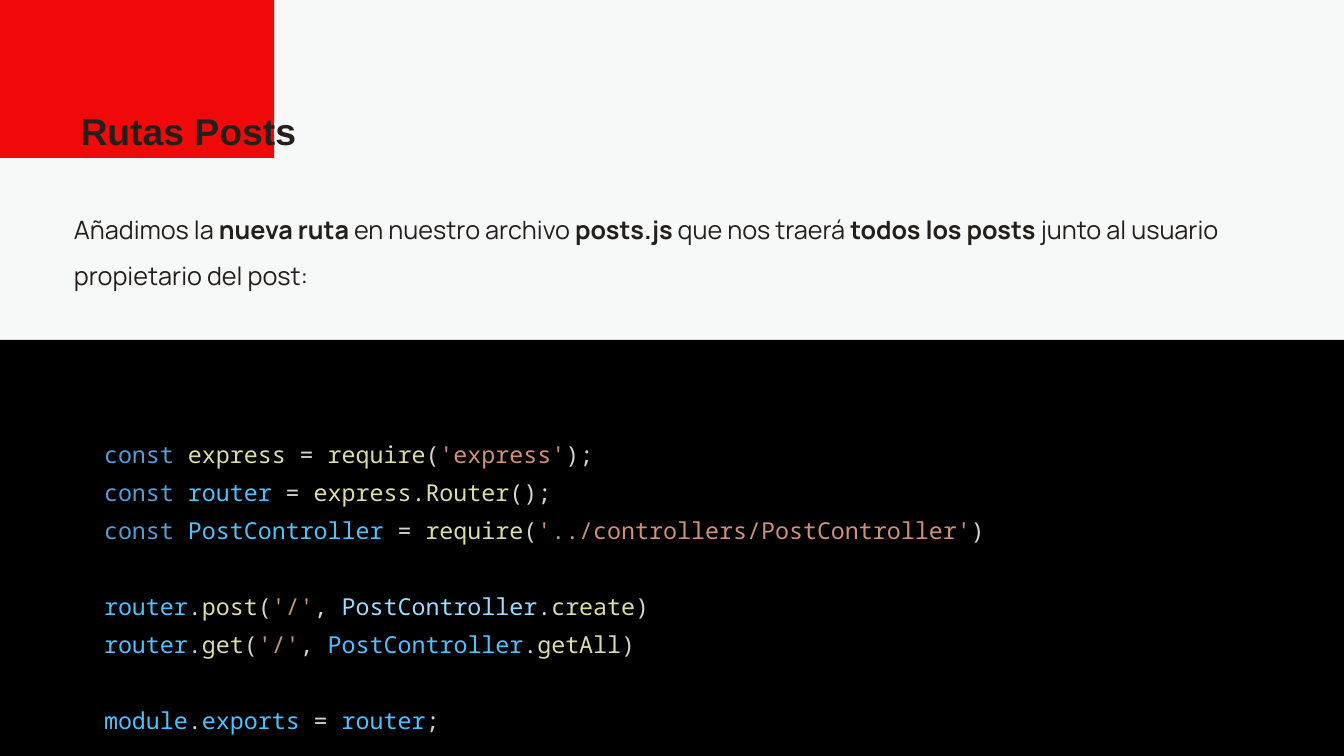
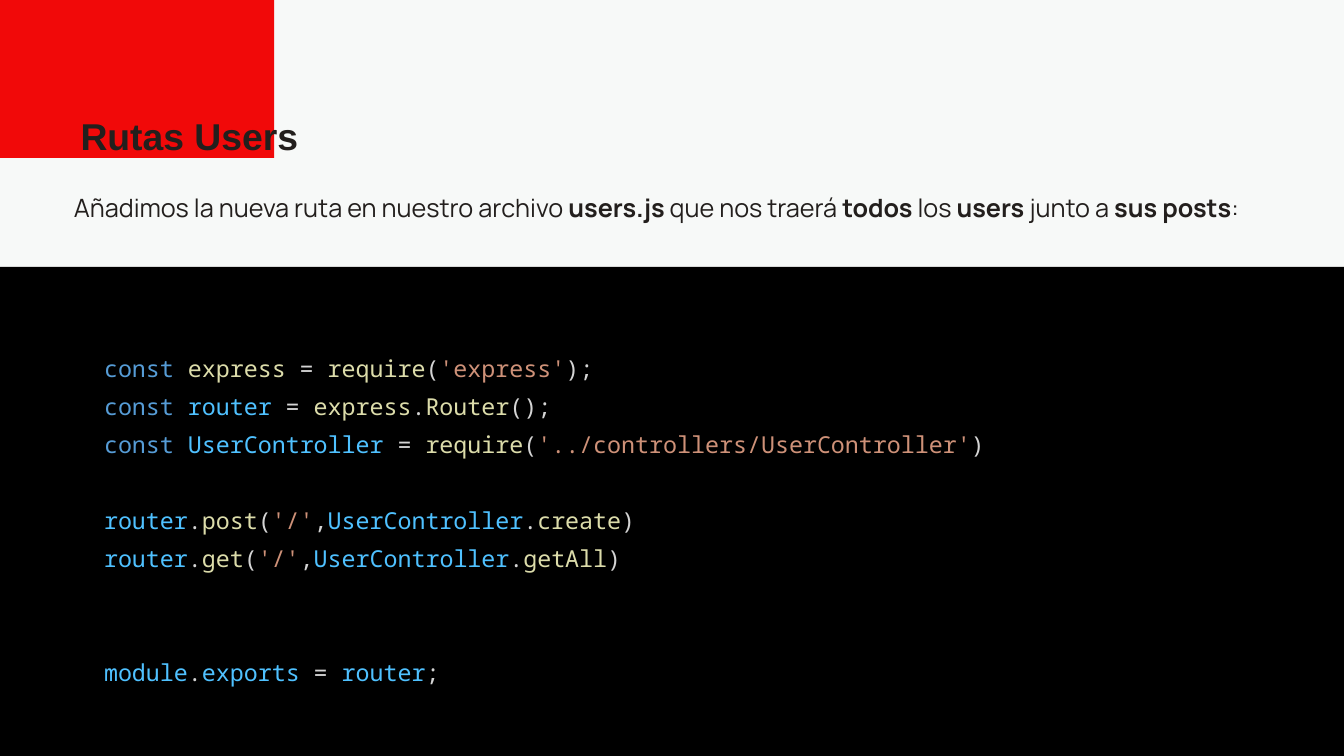
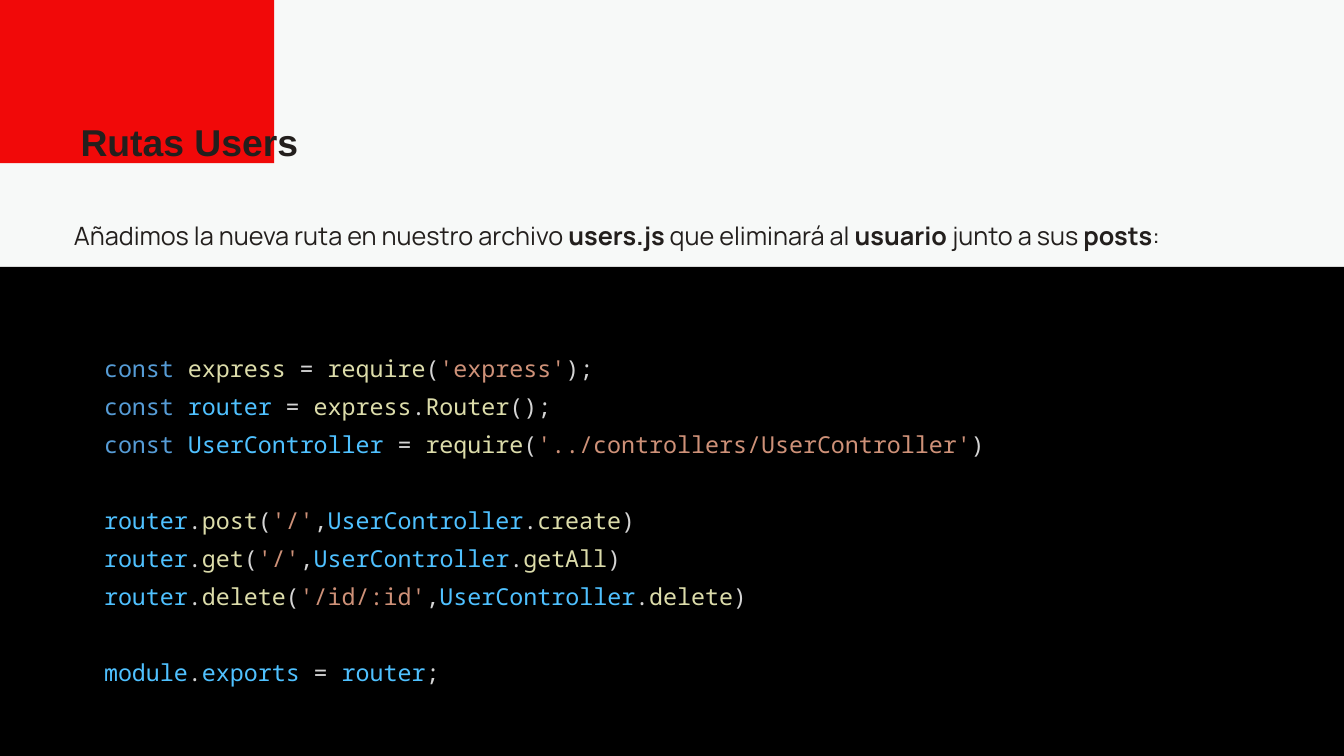
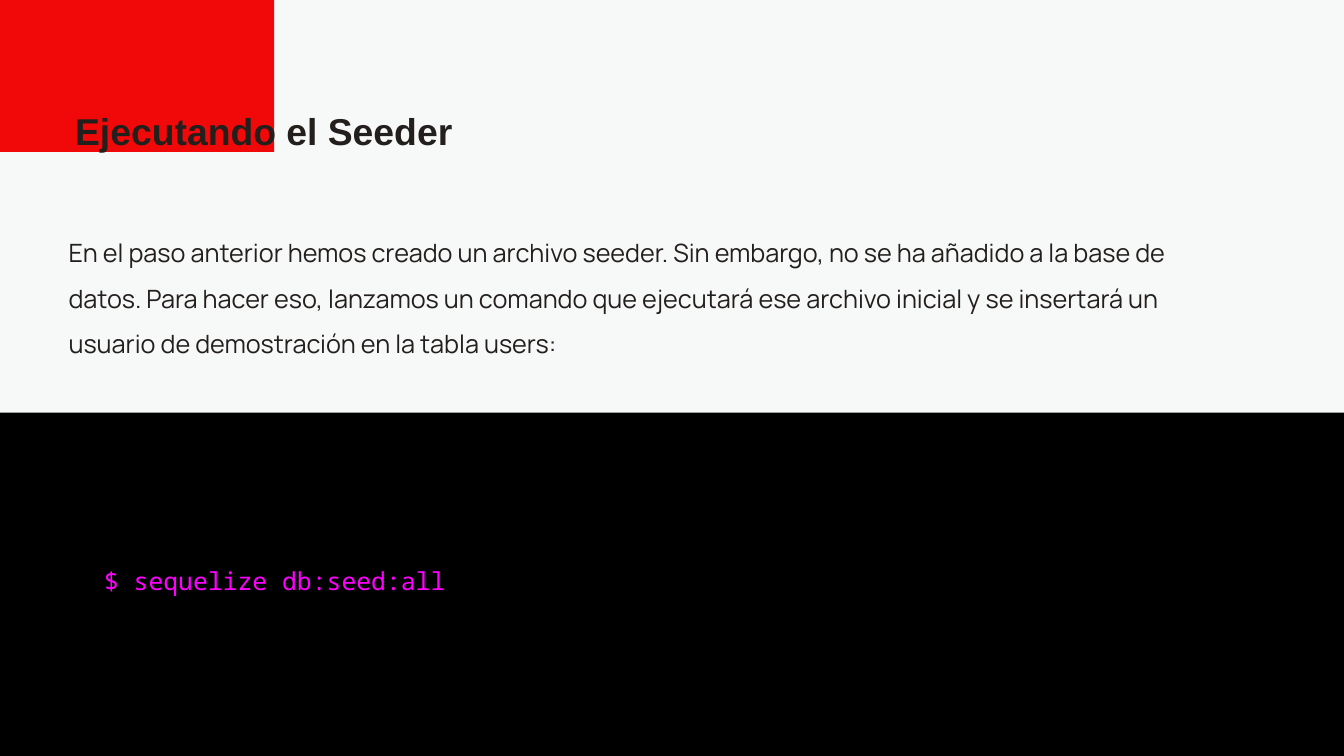
from dataclasses import dataclass

import pptx
import pptx.dml.color
import pptx.enum.shapes
import pptx.enum.text
import pptx.util

Inches = pptx.util.Inches
Pt = pptx.util.Pt

COLOURS = {
    "paper": "F7F9F8",
    "accent": "F10909",
    "panel": "000000",
    "ink": "231F1D",
    "keyword": "569CD6",
    "function": "DCDCAA",
    "plain": "D4D4D4",
    "name": "4FC1FF",
    "variable": "9CDCFE",
    "string": "CE9178",
    "command": "FF00FF",
}
SLIDE_WIDTH, SLIDE_HEIGHT = 20, 11.25
BLANK_LINE = 40.5  # points left free for each empty line of code


@dataclass(frozen=True)
class Box:
    left: float
    top: float
    width: float
    height: float


@dataclass(frozen=True)
class Piece:
    text: str
    colour: str = "ink"
    bold: bool = False


Line = list[Piece]


@dataclass(frozen=True)
class CodeSlide:
    title: str
    title_box: Box
    accent_top: float
    intro: str  # bold parts stand between double asterisks
    intro_box: Box
    panel: Box
    code: list[Line]  # an empty list is an empty line
    code_box: Box
    code_size: float = 25


# Drawing
def add_rectangle(slide, box: Box, colour: str) -> None:
    shape = slide.shapes.add_shape(
        pptx.enum.shapes.MSO_SHAPE.RECTANGLE,
        Inches(box.left), Inches(box.top), Inches(box.width), Inches(box.height))
    shape.shadow.inherit = False
    shape.fill.solid()
    shape.fill.fore_color.rgb = pptx.dml.color.RGBColor.from_string(COLOURS[colour])
    shape.line.fill.background()


def add_text(slide, box: Box, lines: list[Line], *, font: str, size: float,
             spacing: float, inset: float = 0.1) -> None:
    shape = slide.shapes.add_textbox(
        Inches(box.left), Inches(box.top), Inches(box.width), Inches(box.height))
    frame = shape.text_frame
    frame.word_wrap = True
    frame.auto_size = pptx.enum.text.MSO_AUTO_SIZE.SHAPE_TO_FIT_TEXT
    frame.margin_left = frame.margin_right = Inches(inset)
    frame.margin_top = frame.margin_bottom = Inches(inset)
    paragraph, blanks = None, 0
    for line in lines:
        if not line:
            blanks += 1
            continue
        paragraph = frame.add_paragraph() if paragraph else frame.paragraphs[0]
        paragraph.line_spacing = spacing
        if blanks:
            paragraph.space_before = Pt(blanks * BLANK_LINE)
            blanks = 0
        for piece in line:
            run = paragraph.add_run()
            run.text = piece.text
            run.font.name = font
            run.font.size = Pt(size)
            run.font.bold = piece.bold
            run.font.color.rgb = pptx.dml.color.RGBColor.from_string(COLOURS[piece.colour])


def emphasised(text: str) -> Line:
    return [Piece(part, bold=index % 2 == 1)
            for index, part in enumerate(text.split("**")) if part]


# Lines of code
def require_line(variable: str, colour: str, target: str, end: str) -> Line:
    return [Piece("const ", "keyword"), Piece(variable, colour), Piece(" = ", "plain"),
            Piece("require", "function"), Piece("(", "plain"),
            Piece(f"'{target}'", "string"), Piece(end, "plain")]


def route_line(verb: str, address: str, controller: str, action: str,
               comma: str = ",", colour: str = "name") -> Line:
    return [Piece("router", "name"), Piece(".", "plain"), Piece(verb, "function"),
            Piece("(", "plain"), Piece(f"'{address}'", "string"), Piece(comma, "plain"),
            Piece(controller, colour), Piece(".", "plain"),
            Piece(action, "function"), Piece(")", "plain")]


def router_file(controller: str, routes: list[Line]) -> list[Line]:
    return [
        require_line("express", "function", "express", ");"),
        [Piece("const ", "keyword"), Piece("router", "name"), Piece(" = ", "plain"),
         Piece("express", "function"), Piece(".", "plain"),
         Piece("Router", "function"), Piece("();", "plain")],
        require_line(controller, "name", f"../controllers/{controller}", ")"),
        [],
        *routes,
        [],
        [Piece("module", "name"), Piece(".", "plain"), Piece("exports", "name"),
         Piece(" = ", "plain"), Piece("router", "name"), Piece(";", "plain")],
    ]


POST_ROUTES = [
    route_line("post", "/", "PostController", "create", ", ", "variable"),
    route_line("get", "/", "PostController", "getAll", ", "),
]
USER_ROUTES = [
    route_line("post", "/", "UserController", "create"),
    route_line("get", "/", "UserController", "getAll"),
]
DELETE_ROUTE = route_line("delete", "/id/:id", "UserController", "delete")
USER_PANEL = Box(0, 3.97, SLIDE_WIDTH, 7.29)
USER_CODE_BOX = Box(1.45, 5.02, 17.1, 5.19)

# Content
SLIDES = [
    CodeSlide(
        title="Rutas Posts",
        title_box=Box(1.1, 1.37, 14.46, 0.88),
        accent_top=-0.08,
        intro="Añadimos la **nueva ruta** en nuestro archivo **posts.js** que nos traerá "
              "**todos los posts** junto al usuario propietario del post:",
        intro_box=Box(1.1, 2.97, 17.38, 1.14),
        panel=Box(0, 5.06, SLIDE_WIDTH, 6.36),
        code=router_file("PostController", POST_ROUTES),
        code_box=Box(1.45, 6.3, 17.1, 4.62),
    ),
    CodeSlide(
        title="Rutas Users",
        title_box=Box(1.1, 1.45, 14.46, 0.88),
        accent_top=-0.08,
        intro="Añadimos la nueva ruta en nuestro archivo **users.js** que nos traerá "
              "**todos** los **users** junto a **sus posts**:",
        intro_box=Box(1.1, 2.64, 17.38, 1.14),
        panel=USER_PANEL,
        code=router_file("UserController", [*USER_ROUTES, []]),
        code_box=USER_CODE_BOX,
    ),
    CodeSlide(
        title="Rutas Users",
        title_box=Box(1.1, 1.54, 14.46, 0.88),
        accent_top=0,
        intro="Añadimos la nueva ruta en nuestro archivo **users.js** que eliminará al "
              "**usuario** junto a sus **posts**:",
        intro_box=Box(1.1, 3.05, 18.29, 0.45),
        panel=USER_PANEL,
        code=router_file("UserController", [*USER_ROUTES, DELETE_ROUTE]),
        code_box=USER_CODE_BOX,
    ),
    CodeSlide(
        title="Ejecutando el Seeder",
        title_box=Box(1.02, 1.37, 14.46, 0.88),
        accent_top=-0.17,
        intro="En el paso anterior hemos creado un archivo seeder. Sin embargo, no se ha "
              "añadido a la base de datos. Para hacer eso, lanzamos un comando que "
              "ejecutará ese archivo inicial y se insertará un usuario de demostración "
              "en la tabla users:",
        intro_box=Box(1.02, 3.31, 17.38, 1.82),
        panel=Box(0, 6.14, SLIDE_WIDTH, 5.29),
        code=[[Piece("$ sequelize db:seed:all", "command")]],
        code_box=Box(1.45, 8.16, 17.1, 0.65),
        code_size=26.5,
    ),
]


def build_slide(presentation, content: CodeSlide) -> None:
    slide = presentation.slides.add_slide(presentation.slide_layouts[6])
    add_rectangle(slide, Box(0, -0.16, SLIDE_WIDTH, 11.57), "paper")
    add_rectangle(slide, content.panel, "panel")
    add_text(slide, content.intro_box, [emphasised(content.intro)],
             font="Manrope", size=27, spacing=1.5, inset=0)
    add_text(slide, content.code_box, content.code,
             font="Noto Sans Mono", size=content.code_size, spacing=1.36)
    add_rectangle(slide, Box(0, content.accent_top, 4.08, 2.43), "accent")
    add_text(slide, content.title_box, [[Piece(content.title, bold=True)]],
             font="Arial", size=40, spacing=1.2)


def main() -> None:
    presentation = pptx.Presentation()
    presentation.slide_width = Inches(SLIDE_WIDTH)
    presentation.slide_height = Inches(SLIDE_HEIGHT)
    for content in SLIDES:
        build_slide(presentation, content)
    presentation.save("out.pptx")


if __name__ == "__main__":
    main()
